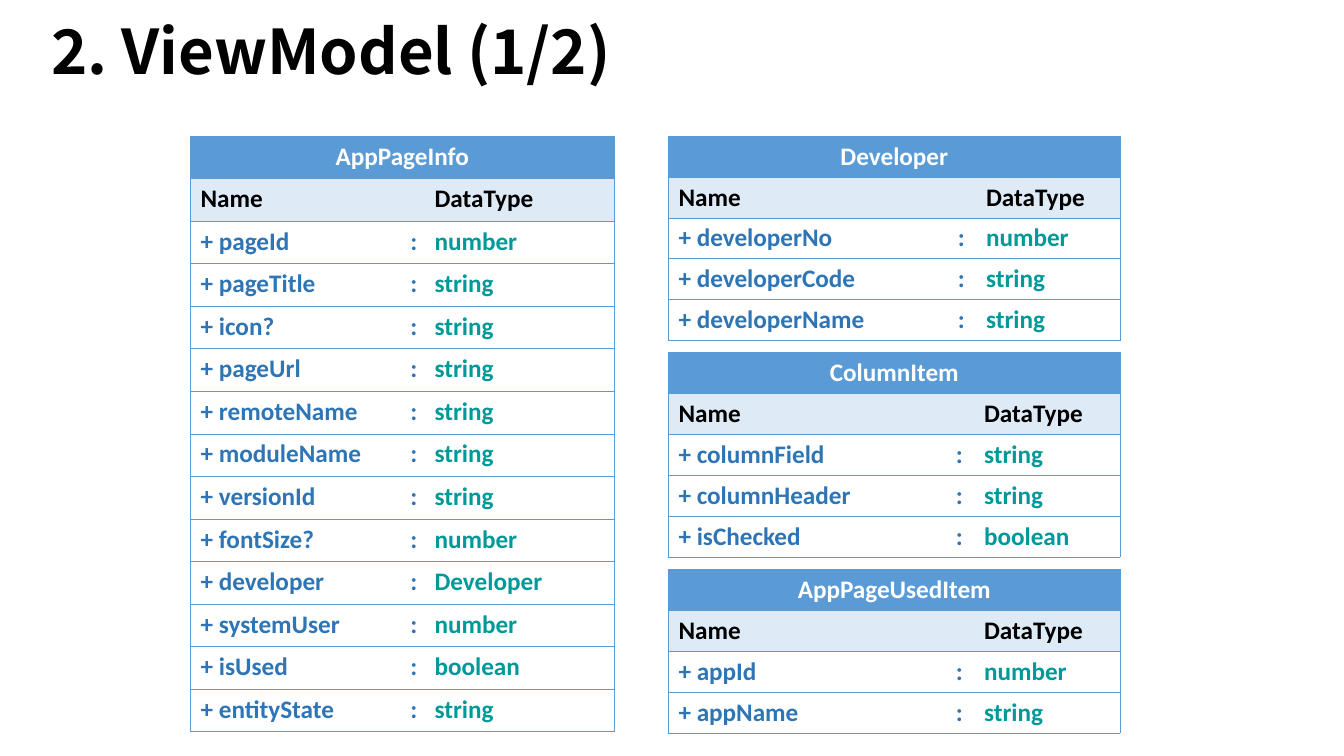
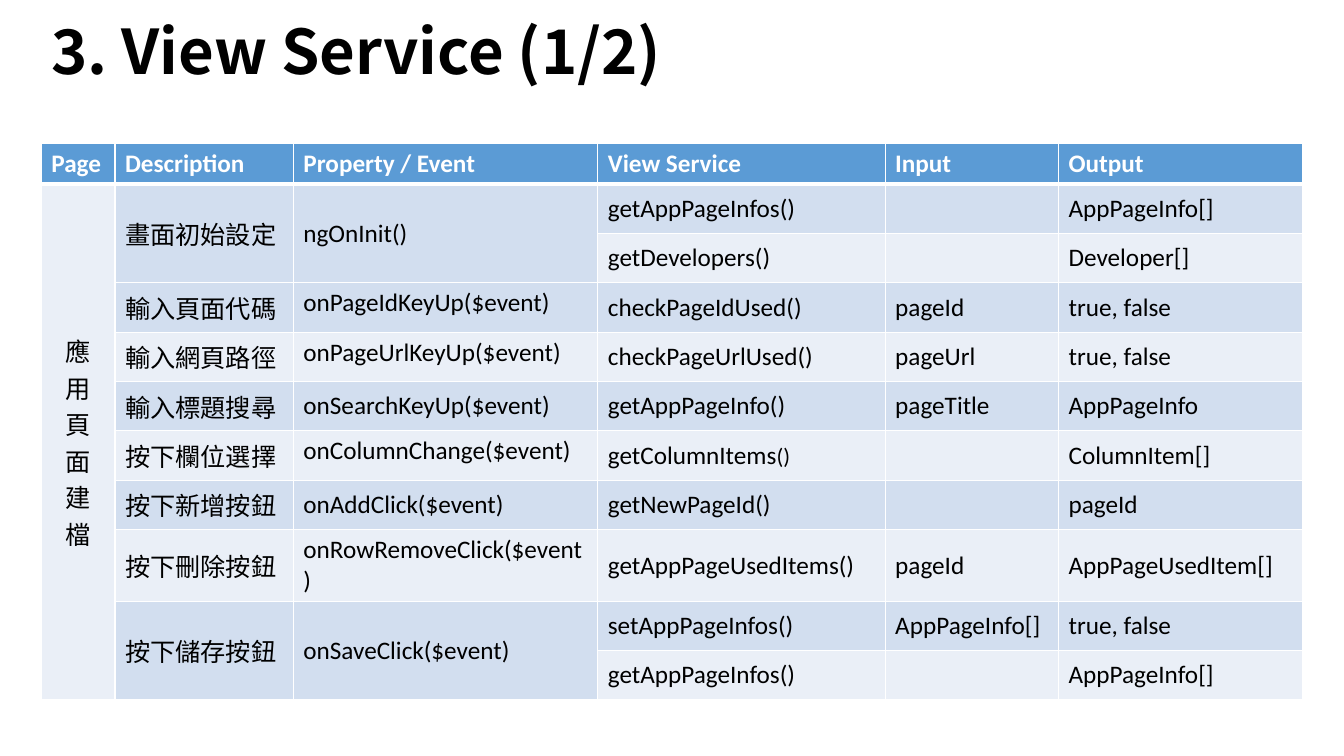
"""Build two slides that list the view models and the view services of a page."""
from lxml import etree
from pptx import Presentation
from pptx.dml.color import RGBColor
from pptx.enum.text import MSO_ANCHOR as Anchor, PP_ALIGN as Align
from pptx.oxml.ns import qn
from pptx.util import Inches, Pt

BLACK = RGBColor(0x00, 0x00, 0x00)
WHITE = RGBColor(0xFF, 0xFF, 0xFF)
BLUE = RGBColor(0x5B, 0x9B, 0xD5)
DARK_BLUE = RGBColor(0x2E, 0x75, 0xB6)
TEAL = RGBColor(0x00, 0x99, 0x99)
PALE_BLUE = RGBColor(0xDE, 0xEB, 0xF7)
BAND_DARK = RGBColor(0xD2, 0xDE, 0xEF)
BAND_LIGHT = RGBColor(0xEA, 0xEF, 0xF7)
LATIN_FONT = "Calibri"
CJK_FONT = "Noto Sans CJK SC"

PAGE_MODEL = ("AppPageInfo", [
    ("pageId", "number"),
    ("pageTitle", "string"),
    ("icon?", "string"),
    ("pageUrl", "string"),
    ("remoteName", "string"),
    ("moduleName", "string"),
    ("versionId", "string"),
    ("fontSize?", "number"),
    ("developer", "Developer"),
    ("systemUser", "number"),
    ("isUsed", "boolean"),
    ("entityState", "string"),
])
SIDE_MODELS = [
    ("Developer", [
        ("developerNo", "number"),
        ("developerCode", "string"),
        ("developerName", "string"),
    ], (2.77, 0.28, 1.43)),
    ("ColumnItem", [
        ("columnField", "string"),
        ("columnHeader", "string"),
        ("isChecked", "boolean"),
    ], (2.75, 0.28, 1.45)),
    ("AppPageUsedItem", [
        ("appId", "number"),
        ("appName", "string"),
    ], (2.75, 0.28, 1.45)),
]
MODEL_TOP = 1.35
SIDE_ROW = 0.4
SIDE_GAP = 0.15

SERVICE_HEADS = ["Page", "Description", "Property / Event", "View Service", "Input", "Output"]
SERVICE_WIDTHS = (0.73, 1.77, 3.02, 2.85, 1.72, 2.42)
PAGE_NAME = "應用頁面建檔"
SERVICES = [
    ("畫面初始設定", "ngOnInit()", [
        ("getAppPageInfos()", "", "AppPageInfo[]"),
        ("getDevelopers()", "", "Developer[]"),
    ]),
    ("輸入頁面代碼", "onPageIdKeyUp($event)", [("checkPageIdUsed()", "pageId", "true, false")]),
    ("輸入網頁路徑", "onPageUrlKeyUp($event)", [("checkPageUrlUsed()", "pageUrl", "true, false")]),
    ("輸入標題搜尋", "onSearchKeyUp($event)", [("getAppPageInfo()", "pageTitle", "AppPageInfo")]),
    ("按下欄位選擇", "onColumnChange($event)", [("getColumnItems()", "", "ColumnItem[]")]),
    ("按下新增按鈕", "onAddClick($event)", [("getNewPageId()", "", "pageId")]),
    ("按下刪除按鈕", "onRowRemoveClick($event)",
     [("getAppPageUsedItems()", "pageId", "AppPageUsedItem[]")]),
    ("按下儲存按鈕", "onSaveClick($event)", [
        ("setAppPageInfos()", "AppPageInfo[]", "true, false"),
        ("getAppPageInfos()", "", "AppPageInfo[]"),
    ]),
]
TOP_EVENTS = {"onPageIdKeyUp($event)", "onPageUrlKeyUp($event)", "onColumnChange($event)"}
SMALL_BRACKETS = {"getColumnItems()"}


def style_span(span, size, color, bold, font):
    span.font.size = Pt(size)
    span.font.bold = bold
    span.font.color.rgb = color
    span.font.name = font
    etree.SubElement(span.font._element, qn("a:ea"), typeface=CJK_FONT)


def add_page(deck, title):
    page = deck.slides.add_slide(deck.slide_layouts[5])
    box = page.shapes.title
    box.left, box.top, box.width, box.height = map(Inches, (0.41, -0.1, 9.3, 1.28))
    box.text_frame.text = title
    box.text_frame.vertical_anchor = Anchor.MIDDLE
    para = box.text_frame.paragraphs[0]
    para.alignment = Align.LEFT
    para.line_spacing = 0.9
    style_span(para.runs[0], 44, BLACK, True, CJK_FONT)
    return page


def add_grid(page, left, top, widths, heights):
    frame = page.shapes.add_table(len(heights), len(widths), Inches(left), Inches(top),
                                  Inches(sum(widths)), Inches(sum(heights)))
    grid = frame.table
    for column, width in zip(grid.columns, widths):
        column.width = Inches(width)
    for row, height in zip(grid.rows, heights):
        row.height = Inches(height)
    return grid


def paint_cell(cell, fill, line, widths):
    """Set the left, right, top and bottom lines, where 0 is none, then the fill."""
    props = cell._tc.get_or_add_tcPr()
    for side, width in zip("LRTB", widths):
        edge = etree.SubElement(props, qn(f"a:ln{side}"), w=str(Pt(width)))
        if width:
            solid = etree.SubElement(edge, qn("a:solidFill"))
            etree.SubElement(solid, qn("a:srgbClr"), val=str(line))
        else:
            etree.SubElement(edge, qn("a:noFill"))
    if fill is None:
        cell.fill.background()
    else:
        cell.fill.solid()
        cell.fill.fore_color.rgb = fill


def write_cell(cell, text, color, bold=False, align=Align.LEFT, anchor=Anchor.TOP,
               font=LATIN_FONT):
    cell.text_frame.text = text
    cell.vertical_anchor = anchor
    for para in cell.text_frame.paragraphs:
        para.alignment = align
        for span in para.runs:
            style_span(span, 18, color, bold, font)


def add_model(page, name, fields, left, top, widths, row_height):
    rows = [(name, "", ""), ("Name", "", "DataType")]
    rows += [(f"+ {field}", ":", kind) for field, kind in fields]
    grid = add_grid(page, left, top, widths, [row_height] * len(rows))
    grid.cell(0, 0).merge(grid.cell(0, 2))
    for r, row in enumerate(rows):
        fill = {0: BLUE, 1: PALE_BLUE}.get(r)
        colors = {0: [WHITE] * 3, 1: [BLACK] * 3}.get(r, [DARK_BLUE, DARK_BLUE, TEAL])
        for c, text in enumerate(row):
            cell = grid.cell(r, c)
            left_line = 0.5 if r == 0 or c == 0 else 0
            right_line = 0.5 if r == 0 or c == 2 else 0
            paint_cell(cell, fill, BLUE, (left_line, right_line, 0.5, 0.5))
            if not cell.is_spanned:
                write_cell(cell, text, colors[c], True, Align.LEFT if r else Align.CENTER)


def add_services(page):
    calls = sum(len(group) for _, _, group in SERVICES)
    grid = add_grid(page, 0.41, 1.42, SERVICE_WIDTHS, [0.4] + [0.49] * calls)
    for r in range(calls + 1):
        for c in range(len(SERVICE_HEADS)):
            fill = BAND_DARK if r % 2 and c else BAND_LIGHT
            paint_cell(grid.cell(r, c), fill if r else BLUE, WHITE,
                       (1, 1, 3 if r == 1 else 1, 1 if r else 3))
    for c, head in enumerate(SERVICE_HEADS):
        write_cell(grid.cell(0, c), head, WHITE, True, anchor=Anchor.MIDDLE)
    grid.cell(1, 0).merge(grid.cell(calls, 0))
    write_cell(grid.cell(1, 0), "\n".join(PAGE_NAME), BLACK, align=Align.CENTER,
               anchor=Anchor.MIDDLE, font=CJK_FONT)
    r = 1
    for description, event, group in SERVICES:
        if len(group) > 1:
            for c in (1, 2):
                grid.cell(r, c).merge(grid.cell(r + len(group) - 1, c))
        write_cell(grid.cell(r, 1), description, BLACK, anchor=Anchor.MIDDLE, font=CJK_FONT)
        write_cell(grid.cell(r, 2), event, BLACK,
                   anchor=Anchor.TOP if event in TOP_EVENTS else Anchor.MIDDLE)
        for call in group:
            for c, text in enumerate(call, start=3):
                cell = grid.cell(r, c)
                write_cell(cell, text, BLACK, anchor=Anchor.MIDDLE)
                if text in SMALL_BRACKETS:
                    para = cell.text_frame.paragraphs[0]
                    para.runs[0].text = text[:-2]
                    span = para.add_run()
                    span.text = text[-2:]
                    style_span(span, 16, BLACK, False, LATIN_FONT)
            r += 1


def main():
    deck = Presentation()
    deck.slide_width, deck.slide_height = Inches(13.33), Inches(7.5)

    page = add_page(deck, "2. ViewModel (1/2)")
    name, fields = PAGE_MODEL
    add_model(page, name, fields, 1.89, MODEL_TOP, (2.08, 0.24, 1.88), 5.91 / (len(fields) + 2))
    top = MODEL_TOP
    for name, fields, widths in SIDE_MODELS:
        add_model(page, name, fields, 6.63, top, widths, SIDE_ROW)
        top += SIDE_ROW * (len(fields) + 2) + SIDE_GAP

    add_services(add_page(deck, "3. View Service (1/2)"))
    deck.save("out.pptx")


if __name__ == "__main__":
    main()
